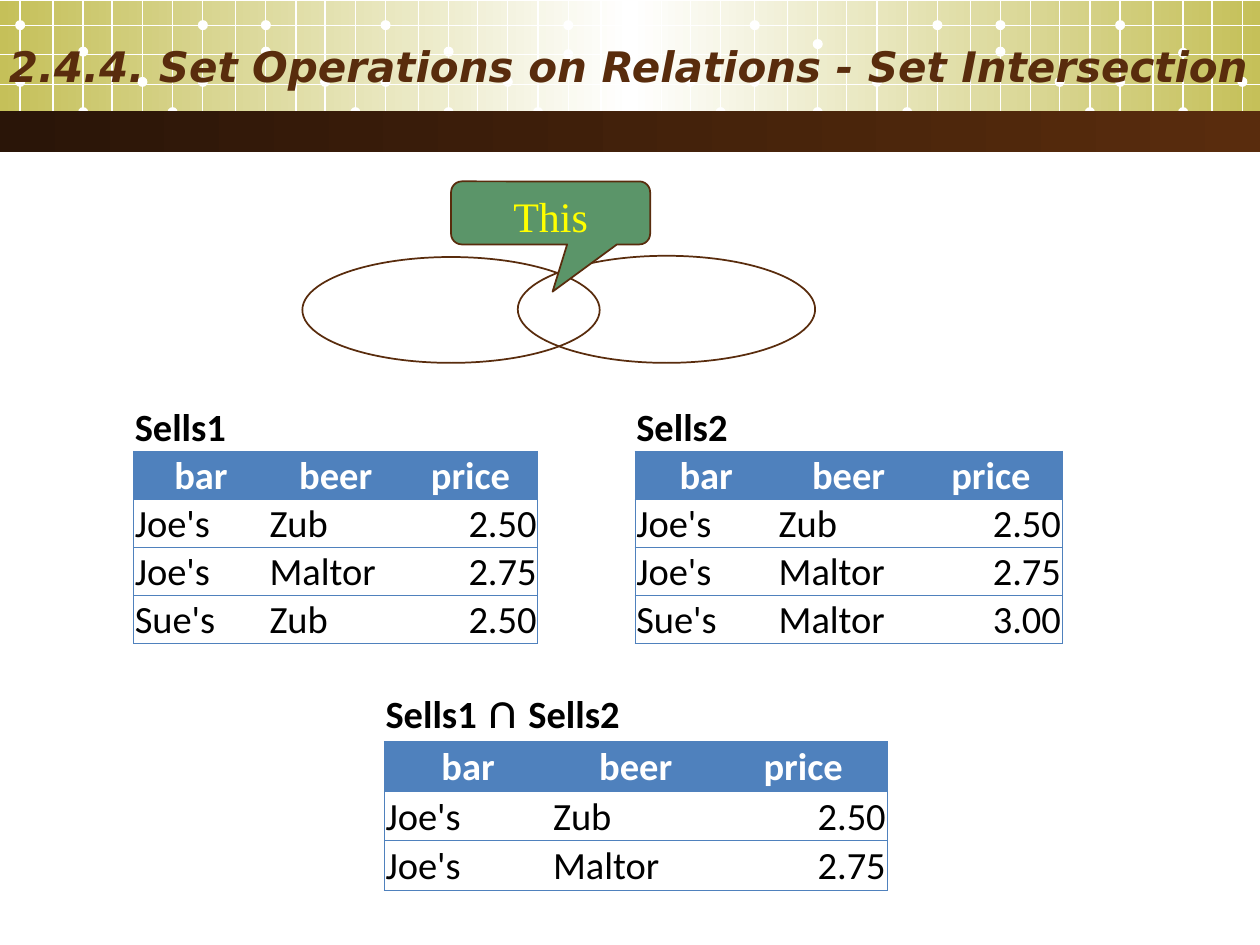
from lxml import etree
from pptx import Presentation
from pptx.dml.color import RGBColor
from pptx.enum.shapes import MSO_CONNECTOR, MSO_SHAPE
from pptx.enum.text import MSO_ANCHOR, PP_ALIGN
from pptx.oxml.ns import qn
from pptx.util import Inches, Pt

RECT, OVAL = MSO_SHAPE.RECTANGLE, MSO_SHAPE.OVAL
CALLOUT = MSO_SHAPE.ROUNDED_RECTANGULAR_CALLOUT
STRAIGHT = MSO_CONNECTOR.STRAIGHT
LEFT, CENTER, RIGHT = PP_ALIGN.LEFT, PP_ALIGN.CENTER, PP_ALIGN.RIGHT
MIDDLE, BOTTOM, TOP = MSO_ANCHOR.MIDDLE, MSO_ANCHOR.BOTTOM, MSO_ANCHOR.TOP
NO_STYLE = "{2D5ABB26-0587-4C30-8999-92F81FD0307C}"

COLORS = {
    "olive": "C5C059", "white": "FFFFFF", "dark": "2A1508", "brown": "592C0D",
    "green": "5B9569", "yellow": "FFFF00", "blue": "4F81BD", "black": "000000",
}

prs = Presentation()
prs.slide_width, prs.slide_height = Inches(10), Inches(7.5)
slide = prs.slides.add_slide(prs.slide_layouts[5])
shapes = slide.shapes


def draw(preset, box, fill=None, outline=None):
    shape = shapes.add_shape(preset, *[Inches(v) for v in box])
    shape.shadow.inherit = False
    if fill:
        shape.fill.solid()
        shape.fill.fore_color.rgb = RGBColor.from_string(COLORS[fill])
    else:
        shape.fill.background()
    if outline:
        shape.line.color.rgb = RGBColor.from_string(COLORS[outline])
        shape.line.width = Pt(1)
    else:
        shape.line.fill.background()
    return shape


def write(paragraph, text, size, font, color, bold=False, italic=False):
    run = paragraph.add_run()
    run.text = text
    run.font.size, run.font.name = Pt(size), font
    run.font.bold, run.font.italic = bold, italic
    run.font.color.rgb = RGBColor.from_string(COLORS[color])


header = draw(RECT, (0, 0.01, 10, 1.02))

tiles = [(0.16, 0.37, 0.61), (3.06, 0.37, 0.39), (5.99, 0.31, 0.47), (8.89, 0.38, 0.61)]
line_offsets = [0, 0.26, 0.5, 0.73, 0.97, 1.21, 1.45, 1.71, 1.95, 2.19, 2.42, 2.66]
grid_lines = [(start + offset, 0, start + offset, 1.1)
              for start, _, _ in tiles for offset in line_offsets if start + offset < 10]
grid_lines += [(0, y, 10, y) for y in (0.2, 0.43, 0.67, 0.89)]
for ends in grid_lines:
    grid_line = shapes.add_connector(STRAIGHT, *[Inches(v) for v in ends])
    grid_line.line.color.rgb = RGBColor.from_string(COLORS["white"])
    grid_line.line.width = Pt(0.75)
    etree.SubElement(grid_line._element.spPr, qn("a:effectLst"))

for start, second_top, seventh_top in tiles:
    dots = [(0, 0.61), (0, 0.16), (0.5, second_top), (0.5, 0.85), (0.97, 0.61), (1.21, 0.85),
            (1.45, seventh_top), (1.45, 0.16), (1.95, 0.37), (1.95, 0.16), (2.42, 0.61), (2.66, 0.85)]
    for offset, top in dots:
        if start + offset < 10:
            draw(OVAL, (start + offset - 0.04, top, 0.08, 0.08), "white")

band = draw(RECT, (0, 0.88, 10, 0.33))
for strip, colors in ((header, ["olive", "white", "olive"]), (band, ["dark", "brown"])):
    strip.fill.gradient()
    strip.fill.gradient_angle = 0
    stops = strip._element.spPr.find(".//" + qn("a:gsLst"))
    stops.clear()
    for i, color in enumerate(colors):
        stop = etree.SubElement(stops, qn("a:gs"), pos=str(100000 * i // (len(colors) - 1)))
        etree.SubElement(stop, qn("a:srgbClr"), val=COLORS[color])

title = shapes.title
title.left, title.top = Inches(-0.03), Inches(0.21)
title.width, title.height = Inches(11.59), Inches(0.62)
title.text_frame.vertical_anchor = MIDDLE
heading = title.text_frame.paragraphs[0]
heading.alignment = LEFT
write(heading, "2.4.4. Set Operations on Relations - Set Intersection",
      24, "DejaVu Sans", "brown", True, True)
shapes._spTree.append(title._element)

draw(OVAL, (2.4, 2.04, 2.36, 0.84), outline="brown")
draw(OVAL, (4.11, 2.03, 2.36, 0.85), outline="brown")
callout = draw(CALLOUT, (3.58, 1.44, 1.58, 0.5), "green", "brown")
for i, value in enumerate((0.01, 1.25, 0.17)):
    callout.adjustments[i] = value
callout.text_frame.vertical_anchor = TOP
callout_text = callout.text_frame.paragraphs[0]
callout_text.alignment = CENTER
write(callout_text, "This", 24, "Times New Roman", "yellow")

columns = ("bar", "beer", "price")
relations = [
    ((1.06, 3.2, 3.21, 1.89), 0.38, [("Sells1", 22)],
     [("Joe's", "Zub", "2.50"), ("Joe's", "Maltor", "2.75"), ("Sue's", "Zub", "2.50")]),
    ((5.04, 3.2, 3.39, 1.89), 0.38, [("Sells2", 22)],
     [("Joe's", "Zub", "2.50"), ("Joe's", "Maltor", "2.75"), ("Sue's", "Maltor", "3.00")]),
    ((3.05, 5.4, 3.99, 1.66), 0.48, [("Sells1 ", 22), ("∩", 28), (" Sells2", 22)],
     [("Joe's", "Zub", "2.50"), ("Joe's", "Maltor", "2.75")]),
]
for box, caption_height, caption, tuples in relations:
    rows = [("", "", ""), columns] + tuples
    table = shapes.add_table(len(rows), 3, *[Inches(v) for v in box]).table
    table.first_row = table.horz_banding = False
    table._tbl.tblPr.find(qn("a:tableStyleId")).text = NO_STYLE
    for r, values in enumerate(rows):
        table.rows[r].height = Inches((box[3] - caption_height) / (len(rows) - 1) if r else caption_height)
        for c, value in enumerate(values):
            cell = table.cell(r, c)
            cell.margin_left = cell.margin_right = cell.margin_top = Inches(0.01)
            cell.margin_bottom = 0
            cell.vertical_anchor = BOTTOM
            sides = {"a:lnL": r and c == 0, "a:lnR": r and c == 2, "a:lnT": r, "a:lnB": True}
            for side, visible in sides.items():
                if visible:
                    border = etree.SubElement(cell._tc.get_or_add_tcPr(), qn(side), w=str(Pt(0.5)))
                    paint = etree.SubElement(border, qn("a:solidFill"))
                    etree.SubElement(paint, qn("a:srgbClr"), val=COLORS["blue"])
            if r == 1:
                cell.fill.solid()
                cell.fill.fore_color.rgb = RGBColor.from_string(COLORS["blue"])
            else:
                cell.fill.background()
            if value:
                entry = cell.text_frame.paragraphs[0]
                entry.alignment = CENTER if r == 1 else RIGHT if c == 2 else LEFT
                write(entry, value, 22, "Calibri", "white" if r == 1 else "black", r == 1)
    if len(caption) > 1:
        table.cell(0, 0).merge(table.cell(0, 2))
    for text, size in caption:
        write(table.cell(0, 0).text_frame.paragraphs[0], text, size, "Calibri", "black", True)

prs.save("out.pptx")
